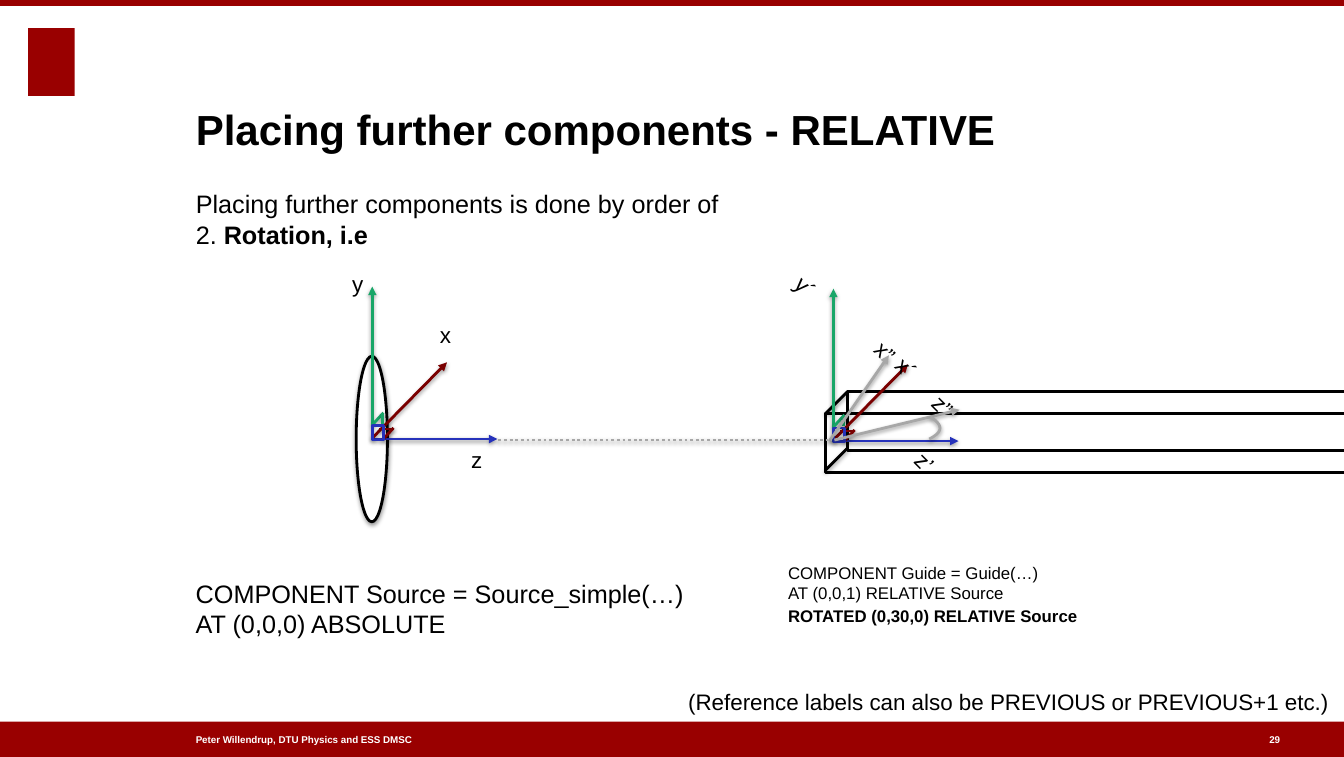
from lxml import etree
from pptx import Presentation
from pptx.dml.color import RGBColor
from pptx.enum.dml import MSO_LINE
from pptx.enum.shapes import MSO_CONNECTOR, MSO_SHAPE
from pptx.enum.text import MSO_ANCHOR
from pptx.oxml.ns import qn
from pptx.util import Inches, Pt

RECTANGLE, ELLIPSE = MSO_SHAPE.RECTANGLE, MSO_SHAPE.OVAL
STRAIGHT = MSO_CONNECTOR.STRAIGHT
DOTTED = MSO_LINE.ROUND_DOT
TOP, MIDDLE, BOTTOM = MSO_ANCHOR.TOP, MSO_ANCHOR.MIDDLE, MSO_ANCHOR.BOTTOM

WIDTH, HEIGHT = 13.32, 7.5
MARGIN = 1.94
BLACK, WHITE, BRAND_RED = "000000", "FFFFFF", "990000"
GREEN, BLUE, DARK_RED, GREY = "19A668", "2632BB", "7A0000", "A7A7A7"
AXIS_ORIGINS = [(3.69, 4.35), (8.26, 4.37)]
AXES = [
    ((0, 0.01), (0, -1.51), GREEN, True),
    ((0, 0), (1.24, 0), BLUE, True),
    ((0, -0.01), (0.74, -0.76), DARK_RED, True),
    ((0.07, -0.1), (0.21, -0.1), DARK_RED, False),
    ((0.1, 0.01), (0.21, -0.11), DARK_RED, False),
    ((0, -0.14), (0.11, -0.26), GREEN, False),
    ((0.1, -0.15), (0.1, -0.26), GREEN, False),
]
SOURCE_LABELS = [("x", 4.36, 3.18), ("y", 3.49, 2.68), ("z", 4.67, 4.42)]
GUIDE_LABELS = [("x´", 9, 3.64), ("y´", 8, 2.84), ("z’", 9.19, 4.58),
                ("x”", 8.79, 3.48), ("z”", 9.36, 4.02)]


def color(hex_code):
    """Turn a hex string into a colour value."""
    return RGBColor.from_string(hex_code)


def apply_format(target, values):
    """Set each named attribute on the target."""
    for name, value in values.items():
        setattr(target, name, value)


def write(frame, paragraphs, size, hex_code=BLACK, anchor=TOP, wrap=False):
    """Write (runs, space before) paragraphs, each run being (text, bold)."""
    apply_format(frame, dict(margin_left=0, margin_right=0, margin_top=0,
                             margin_bottom=0, word_wrap=wrap, vertical_anchor=anchor))
    for index, (runs, space) in enumerate(paragraphs):
        paragraph = frame.add_paragraph() if index else frame.paragraphs[0]
        paragraph.space_before = Pt(space)
        for text, bold in runs:
            run = paragraph.add_run()
            run.text = text
            apply_format(run.font, dict(name="Arial", size=Pt(size), bold=bold))
            run.font.color.rgb = color(hex_code)


def add_text(slide, box, paragraphs, size, **options):
    """Add a text box at (left, top, width, height)."""
    text_box = slide.shapes.add_textbox(*map(Inches, box))
    write(text_box.text_frame, paragraphs, size, **options)
    return text_box


def add_label(slide, text, center_x, center_y, width, rotation=0):
    """Add an axis label centred on a point."""
    box = (center_x - width / 2, center_y - 0.12, width, 0.24)
    add_text(slide, box, [([(text, False)], 0)], 16).rotation = rotation


def add_shadow(shape):
    """Give a shape the soft shadow that falls below the drawing."""
    properties = shape._element.spPr
    effects = properties.find(qn("a:effectLst"))
    if effects is None:
        effects = etree.SubElement(properties, qn("a:effectLst"))
    shadow = etree.SubElement(effects, qn("a:outerShdw"), blurRad=str(Pt(3)),
                              dist=str(Pt(1.6)), dir="5400000", rotWithShape="0")
    shade = etree.SubElement(shadow, qn("a:srgbClr"), val=BLACK)
    etree.SubElement(shade, qn("a:alpha"), val="38000")


def paint(shape, fill=None, line=None):
    """Set the fill and outline of a shape, leaving out what is not given."""
    shape.shadow.inherit = False
    if fill:
        shape.fill.solid()
        shape.fill.fore_color.rgb = color(fill)
    else:
        shape.fill.background()
    if line:
        shape.line.color.rgb = color(line)
        shape.line.width = Pt(2)
    else:
        shape.line.fill.background()


def add_shape(slide, kind, box, fill=None, line=None):
    """Add a preset shape at (left, top, width, height)."""
    shape = slide.shapes.add_shape(kind, *map(Inches, box))
    paint(shape, fill, line)
    return shape


def add_line(slide, start, end, hex_code, arrow=False, dash=None):
    """Add a shadowed straight line, with an arrowhead at its end if asked."""
    connector = slide.shapes.add_connector(STRAIGHT, *map(Inches, start + end))
    connector.line.color.rgb = color(hex_code)
    apply_format(connector.line, dict(width=Pt(2), dash_style=dash))
    if arrow:
        etree.SubElement(connector.line._get_or_add_ln(), qn("a:tailEnd"), type="triangle")
    add_shadow(connector)


def add_axes(slide, x, y):
    """Draw a coordinate system with its right-angle marks."""
    for (x1, y1), (x2, y2), hex_code, arrow in AXES:
        add_line(slide, (x + x1, y + y1), (x + x2, y + y2), hex_code, arrow)
    add_shape(slide, RECTANGLE, (x, y - 0.13, 0.11, 0.14), line=BLUE)


def add_rotation_arc(slide):
    """Draw the arc between the old and the new z axis."""
    controls = [(9.22, 4.13), (9.35, 4.21), (9.35, 4.28), (9.21, 4.35)]
    points = []
    for step in range(17):
        t = step / 16
        weights = [(1 - t) ** 3, 3 * t * (1 - t) ** 2, 3 * t ** 2 * (1 - t), t ** 3]
        points.append(tuple(Inches(sum(w * c[axis] for w, c in zip(weights, controls)))
                            for axis in (0, 1)))
    builder = slide.shapes.build_freeform(*points[0])
    builder.add_line_segments(points[1:], close=False)
    arc = builder.convert_to_shape()
    paint(arc, line=GREY)
    add_shadow(arc)


def add_frame(slide):
    """Add the bars, emblem block, footer and title."""
    for box in [(0.28, 0.28, 0.46, 0.67), (0, 7.15, WIDTH, 0.35), (0, 0, WIDTH, 0.06)]:
        add_shape(slide, RECTANGLE, box, fill=BRAND_RED)
    for text, left, width in [("Peter Willendrup, DTU Physics and ESS DMSC", MARGIN, 3.72),
                              ("29", 12.58, 0.14)]:
        add_text(slide, (left, 7.26, width, 0.14), [([(text, True)], 0)], 7,
                 hex_code=WHITE, anchor=MIDDLE)
    title = slide.shapes.title
    apply_format(title, dict(left=Inches(MARGIN), top=Inches(0.47),
                             width=Inches(10.18), height=Inches(1.06)))
    write(title.text_frame, [([("Placing further components - RELATIVE", True)], 0)],
          30, anchor=BOTTOM, wrap=True)
    title.text_frame.paragraphs[0].alignment = 1


def add_diagram(slide):
    """Draw the source, the guide and their coordinate systems."""
    add_shape(slide, RECTANGLE, (8.4, 3.88, 6.22, 0.58), WHITE, BLACK)
    add_shadow(add_shape(slide, ELLIPSE, (3.53, 3.53, 0.31, 1.64), WHITE, BLACK))
    add_shape(slide, RECTANGLE, (8.18, 4.1, 6.22, 0.58), line=BLACK)
    for bottom in (4.1, 4.66):
        add_line(slide, (8.18, bottom), (8.4, bottom - 0.22), BLACK)
    for x, y in AXIS_ORIGINS:
        add_axes(slide, x, y)
    for text, left, top in SOURCE_LABELS:
        add_label(slide, text, left + 0.07, top + 0.12, 0.14)
    for text, x, y in GUIDE_LABELS:
        add_label(slide, text, x, y, 0.2, 45)
    add_line(slide, (8.22, 4.37), (8.81, 3.52), GREY, arrow=True)
    add_line(slide, (4.94, 4.36), (8.25, 4.36), GREY, dash=DOTTED)
    add_line(slide, (8.27, 4.36), (9.51, 4.06), GREY, arrow=True)
    add_rotation_arc(slide)


def add_explanations(slide):
    """Add the introduction, the component code and the closing remark."""
    add_text(slide, (MARGIN, 1.87, 10.18, 0.6), [
        ([("Placing further components is done by order of", False)], 0),
        ([("2. ", False), ("Rotation, i.e", True)], 0)], 18, wrap=True)
    add_text(slide, (MARGIN, 5.73, 5.5, 0.6), [
        ([("COMPONENT Source = Source_simple(…)", False)], 0),
        ([("AT (0,0,0) ABSOLUTE", False)], 0)], 18, wrap=True)
    add_text(slide, (7.81, 5.57, 2.88, 0.62), [
        ([("COMPONENT Guide = Guide(…)", False)], 0),
        ([("AT (0,0,1) RELATIVE Source", False)], 0),
        ([("ROTATED (0,30,0) RELATIVE Source", True)], 2)], 12)
    remark = "(Reference labels can also be PREVIOUS or PREVIOUS+1 etc.)"
    add_text(slide, (6.82, 6.82, 6.38, 0.24), [([(remark, False)], 0)], 16)


def main():
    """Build the slide and save it."""
    presentation = Presentation()
    apply_format(presentation, dict(slide_width=Inches(WIDTH), slide_height=Inches(HEIGHT)))
    slide = presentation.slides.add_slide(presentation.slide_layouts[5])
    add_frame(slide)
    add_diagram(slide)
    add_explanations(slide)
    presentation.save("out.pptx")


if __name__ == "__main__":
    main()
